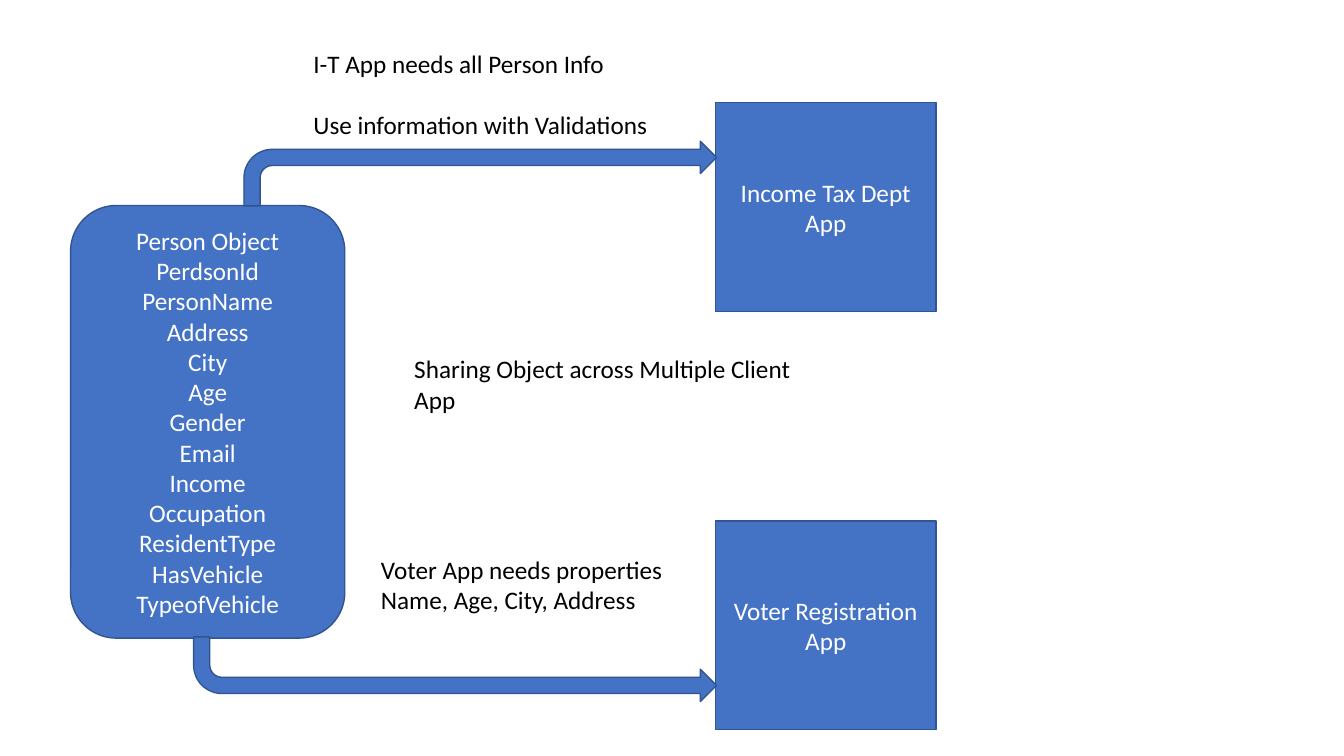
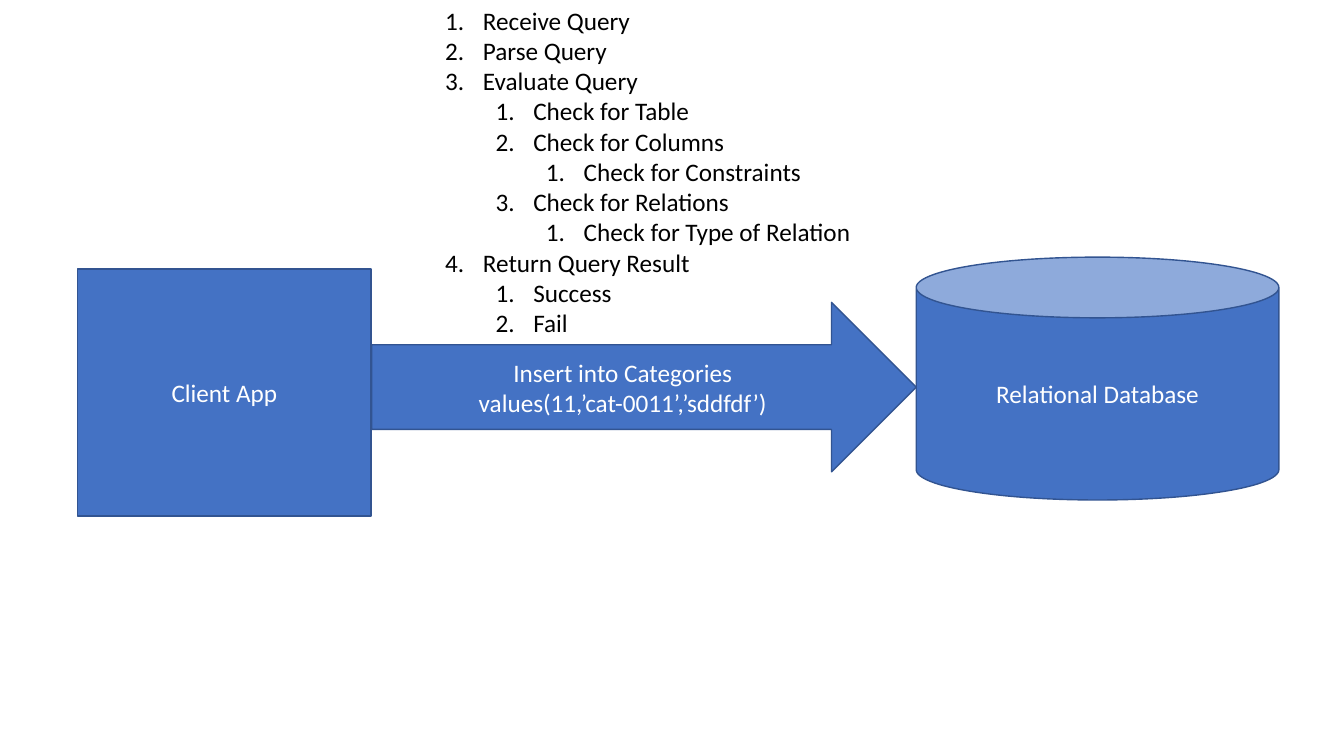
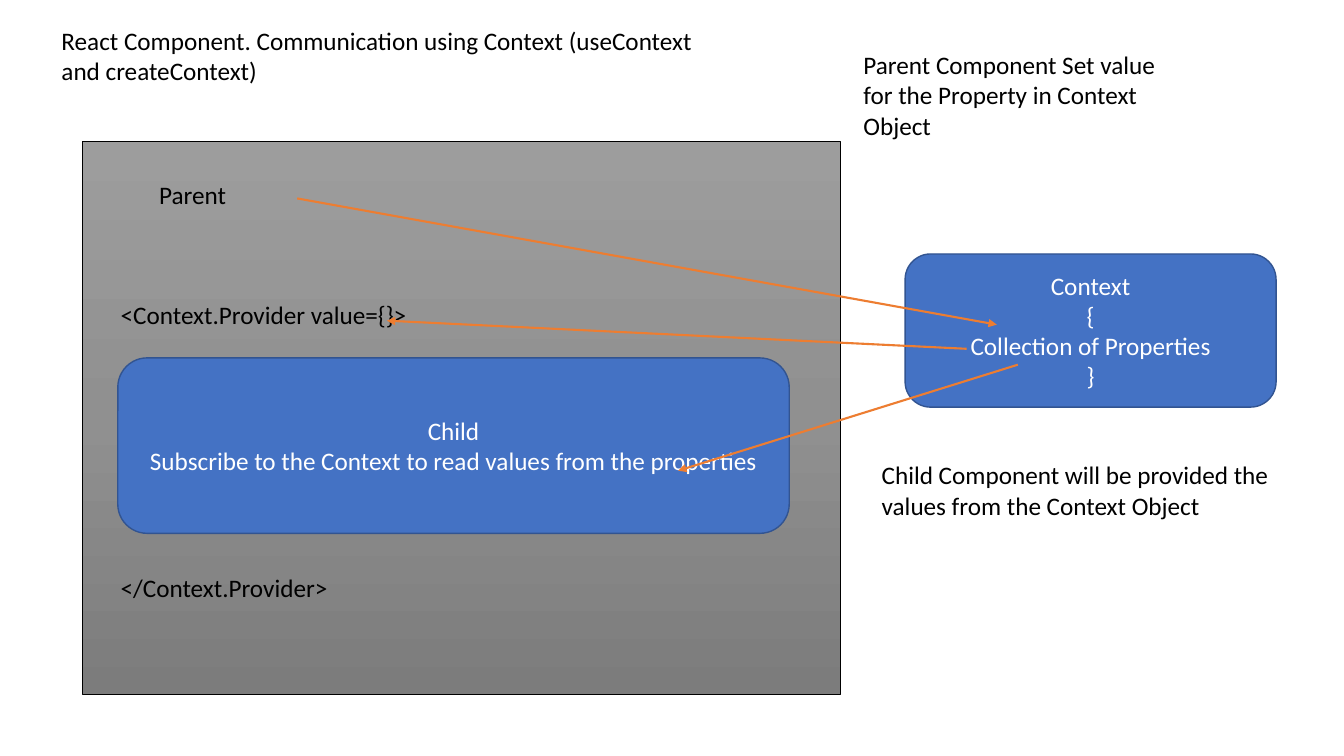
from copy import deepcopy
from dataclasses import dataclass
from typing import Any, Union

from lxml.etree import SubElement
from pptx import Presentation
from pptx.dml.color import RGBColor
from pptx.enum.shapes import MSO_CONNECTOR, MSO_SHAPE
from pptx.enum.text import MSO_ANCHOR, MSO_AUTO_SIZE, PP_ALIGN
from pptx.oxml.ns import qn
from pptx.slide import Slide
from pptx.util import Cm, Pt

BLUE, BLUE_EDGE, ORANGE = "4472C4", "325491", "ED7D31"
WHITE, BLACK = "FFFFFF", "000000"
PANEL_GRADIENT = ((0, "9D9D9D"), (0.5, "909090"), (1, "7C7C7C"))
TEXT_FORMAT = {"name": "Calibri", "size": Pt(18)}
LABEL_FRAME_FORMAT = {"word_wrap": True, "auto_size": MSO_AUTO_SIZE.SHAPE_TO_FIT_TEXT}
NODE_FRAME_FORMAT = {"word_wrap": True, "vertical_anchor": MSO_ANCHOR.MIDDLE}
NUMBER_HANGING, LEVEL_STEP = Cm(0.95), Cm(1.27)


@dataclass(frozen=True)
class Area:
    left: float
    top: float
    width: float
    height: float

    def lengths(self) -> tuple[Cm, ...]:
        return tuple(Cm(value) for value in (self.left, self.top, self.width, self.height))


@dataclass(frozen=True)
class Node:
    area: Area
    lines: tuple[str, ...] = ()
    preset: MSO_SHAPE = MSO_SHAPE.RECTANGLE
    flipped: bool = False


@dataclass(frozen=True)
class Panel:
    area: Area


@dataclass(frozen=True)
class Label:
    area: Area
    lines: tuple[str, ...]
    gap: float = 0


@dataclass(frozen=True)
class NumberedList:
    area: Area
    steps: tuple[tuple[int, str], ...]


@dataclass(frozen=True)
class Arrow:
    start: tuple[float, float]
    end: tuple[float, float]


Element = Union[Node, Panel, Label, NumberedList, Arrow]


def color(value: str) -> RGBColor:
    return RGBColor.from_string(value)


def apply_format(target: Any, values: dict[str, Any]) -> None:
    for name, value in values.items():
        setattr(target, name, value)


def set_line(line: Any, value: str, width: float) -> None:
    line.color.rgb = color(value)
    line.width = Pt(width)


def write_lines(frame: Any, lines: tuple[str, ...], text_color: str,
                alignment: PP_ALIGN, gap: float = 0) -> None:
    for index, text in enumerate(lines):
        paragraph = frame.add_paragraph() if index else frame.paragraphs[0]
        paragraph.alignment = alignment
        if index and gap:
            paragraph.space_before = Pt(gap)
        run = paragraph.add_run()
        run.text = text
        apply_format(run.font, TEXT_FORMAT)
        run.font.color.rgb = color(text_color)


def draw_node(slide: Slide, node: Node) -> None:
    shape = slide.shapes.add_shape(node.preset, *node.area.lengths())
    shape.shadow.inherit = False
    shape.fill.solid()
    shape.fill.fore_color.rgb = color(BLUE)
    set_line(shape.line, BLUE_EDGE, 1)
    if node.flipped:
        shape.element.spPr.xfrm.set("flipV", "1")
    apply_format(shape.text_frame, NODE_FRAME_FORMAT)
    write_lines(shape.text_frame, node.lines, WHITE, PP_ALIGN.CENTER)


def draw_panel(slide: Slide, panel: Panel) -> None:
    shape = slide.shapes.add_shape(MSO_SHAPE.RECTANGLE, *panel.area.lengths())
    shape.shadow.inherit = False
    shape.fill.gradient()
    shape.fill.gradient_angle = 270
    stop_list = shape.element.spPr.find(".//" + qn("a:gsLst"))
    stop_list.insert(1, deepcopy(stop_list[0]))
    for stop, (position, value) in zip(shape.fill.gradient_stops, PANEL_GRADIENT):
        stop.position = position
        stop.color.rgb = color(value)
    set_line(shape.line, BLACK, 0.5)


def add_label_frame(slide: Slide, area: Area) -> Any:
    frame = slide.shapes.add_textbox(*area.lengths()).text_frame
    apply_format(frame, LABEL_FRAME_FORMAT)
    return frame


def draw_label(slide: Slide, label: Label) -> None:
    frame = add_label_frame(slide, label.area)
    write_lines(frame, label.lines, BLACK, PP_ALIGN.LEFT, label.gap)


def draw_numbered_list(slide: Slide, numbered: NumberedList) -> None:
    frame = add_label_frame(slide, numbered.area)
    write_lines(frame, tuple(text for _, text in numbered.steps), BLACK, PP_ALIGN.LEFT)
    for paragraph, (level, _) in zip(frame.paragraphs, numbered.steps):
        paragraph.level = level
        properties = paragraph._p.get_or_add_pPr()
        properties.set("marL", str(NUMBER_HANGING + level * LEVEL_STEP))
        properties.set("indent", str(-NUMBER_HANGING))
        SubElement(properties, qn("a:buFont"), typeface="+mj-lt")
        SubElement(properties, qn("a:buAutoNum"), type="arabicPeriod")


def draw_arrow(slide: Slide, arrow: Arrow) -> None:
    ends = [Cm(value) for value in arrow.start + arrow.end]
    connector = slide.shapes.add_connector(MSO_CONNECTOR.STRAIGHT, *ends)
    set_line(connector.line, ORANGE, 1.5)
    SubElement(connector.line._get_or_add_ln(), qn("a:tailEnd"), type="triangle")
    SubElement(connector.element.spPr, qn("a:effectLst"))


DRAWERS = {
    Node: draw_node,
    Panel: draw_panel,
    Label: draw_label,
    NumberedList: draw_numbered_list,
    Arrow: draw_arrow,
}

OBJECT_SHARING: tuple[Element, ...] = (
    Node(Area(1.78, 5.18, 6.91, 10.9),
         ("Person Object", "PerdsonId", "PersonName", "Address", "City", "Age", "Gender",
          "Email", "Income", "Occupation", "ResidentType", "HasVehicle", "TypeofVehicle"),
         MSO_SHAPE.ROUNDED_RECTANGLE),
    Node(Area(18.03, 2.59, 5.56, 5.26), ("Income Tax Dept App",)),
    Node(Area(18.03, 13.13, 5.56, 5.26), ("Voter Registration App",)),
    Node(Area(6.15, 3.56, 11.91, 1.63), preset=MSO_SHAPE.BENT_ARROW),
    Label(Area(7.65, 1.09, 9.3, 2.57),
          ("I-T App needs all Person Info", "Use information with Validations"), gap=22),
    Node(Area(4.88, 16.05, 13.18, 1.63), preset=MSO_SHAPE.BENT_ARROW, flipped=True),
    Label(Area(9.35, 13.84, 8.41, 1.8),
          ("Voter App needs properties", "Name, Age, City, Address")),
    Label(Area(10.19, 8.79, 10.74, 1.8), ("Sharing Object across Multiple Client App",)),
)

QUERY_PROCESSING: tuple[Element, ...] = (
    Node(Area(1.96, 6.78, 7.39, 6.22), ("Client App",)),
    Node(Area(23.09, 6.48, 9.14, 6.12), ("Relational Database",), MSO_SHAPE.CAN),
    Node(Area(9.37, 7.62, 13.72, 4.27),
         ("Insert into Categories values(11,’cat-0011’,’sddfdf’)",), MSO_SHAPE.RIGHT_ARROW),
    NumberedList(Area(10.97, 0, 19.81, 8.71), (
        (0, "Receive Query"),
        (0, "Parse Query"),
        (0, "Evaluate Query"),
        (1, "Check for Table"),
        (1, "Check for Columns"),
        (2, "Check for Constraints"),
        (1, "Check for Relations"),
        (2, "Check for Type of Relation"),
        (0, "Return Query Result"),
        (1, "Success"),
        (1, "Fail"),
    )),
)

CONTEXT_COMMUNICATION: tuple[Element, ...] = (
    Panel(Area(2.08, 3.56, 19.1, 13.94)),
    Node(Area(2.97, 9.02, 16.92, 4.42),
         ("Child", "Subscribe to the Context to read values from the properties"),
         MSO_SHAPE.ROUNDED_RECTANGLE),
    Label(Area(3.76, 4.39, 14.78, 1.02), ("Parent",)),
    Node(Area(22.81, 6.4, 9.35, 3.86),
         ("Context", "{", "Collection of Properties", "}"), MSO_SHAPE.ROUNDED_RECTANGLE),
    Arrow((7.49, 5), (25.12, 8.18)),
    Label(Area(21.51, 1.12, 8.33, 2.57),
          ("Parent Component Set value for the Property in Context Object",)),
    Arrow((25.65, 9.19), (17.09, 11.86)),
    Label(Area(21.97, 11.46, 10.41, 1.8),
          ("Child Component will be provided the values from the Context Object",)),
    Label(Area(2.79, 7.42, 10.77, 1.02), ("<Context.Provider value={}>",)),
    Label(Area(2.79, 14.3, 10.77, 1.02), ("</Context.Provider>",)),
    Arrow((24.36, 8.79), (9.75, 8.08)),
    Label(Area(1.3, 0.51, 16.87, 1.8),
          ("React Component. Communication using Context (useContext and createContext)",)),
)


def main() -> None:
    presentation = Presentation()
    presentation.slide_width = Cm(33.87)
    presentation.slide_height = Cm(19.05)
    blank_layout = presentation.slide_layouts[6]
    for elements in (OBJECT_SHARING, QUERY_PROCESSING, CONTEXT_COMMUNICATION):
        slide = presentation.slides.add_slide(blank_layout)
        for element in elements:
            DRAWERS[type(element)](slide, element)
    presentation.save("out.pptx")


if __name__ == "__main__":
    main()
